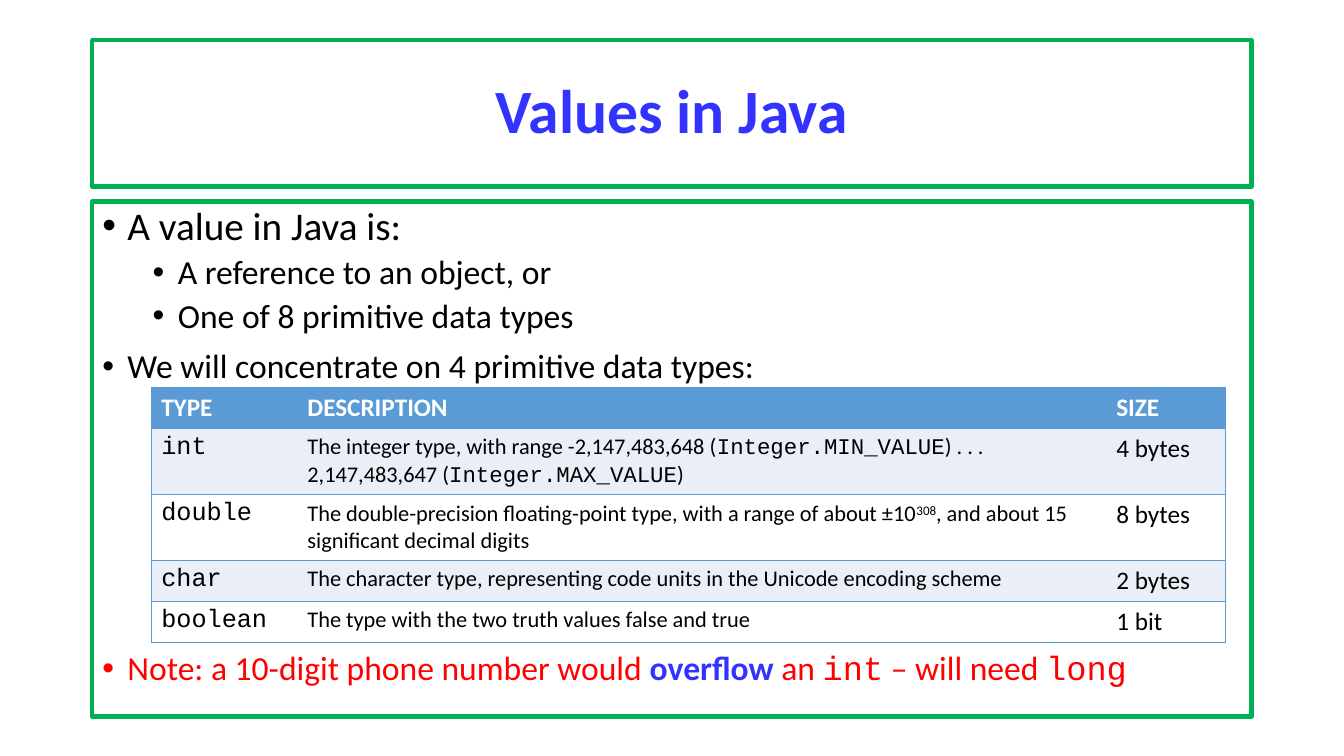
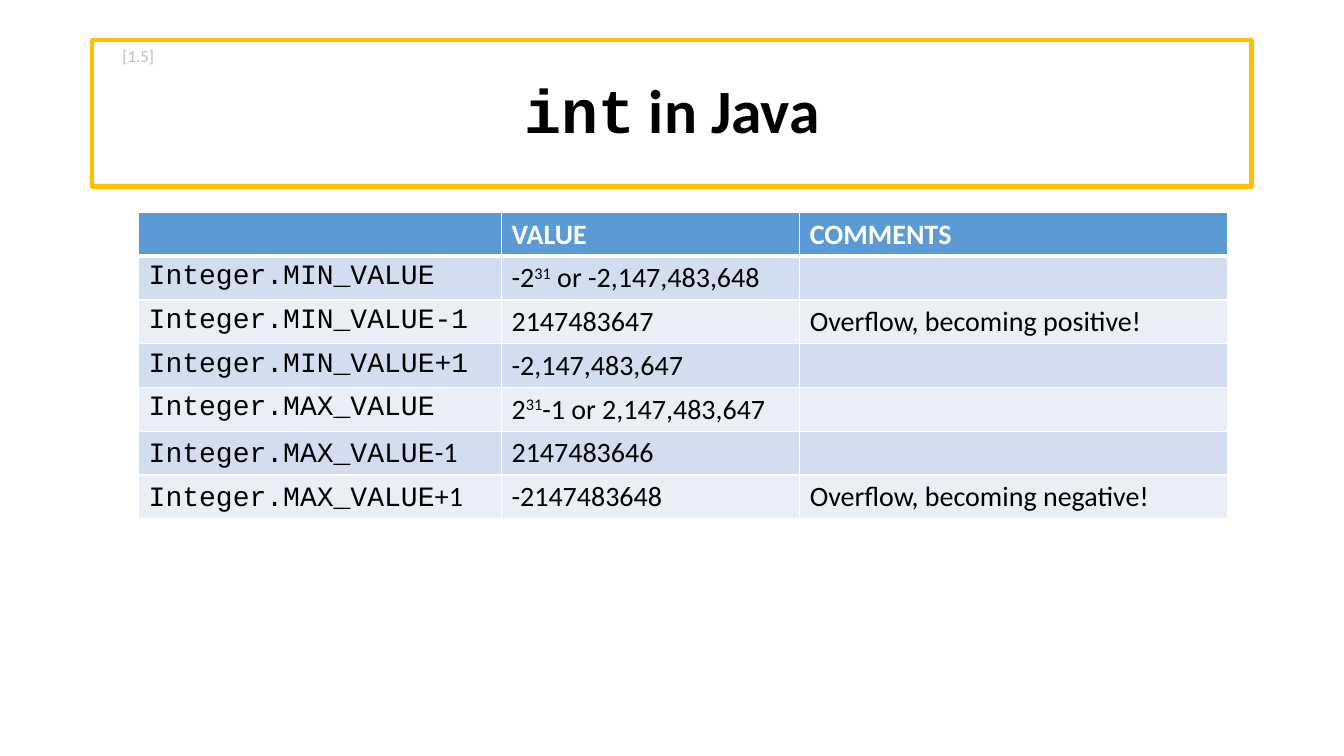
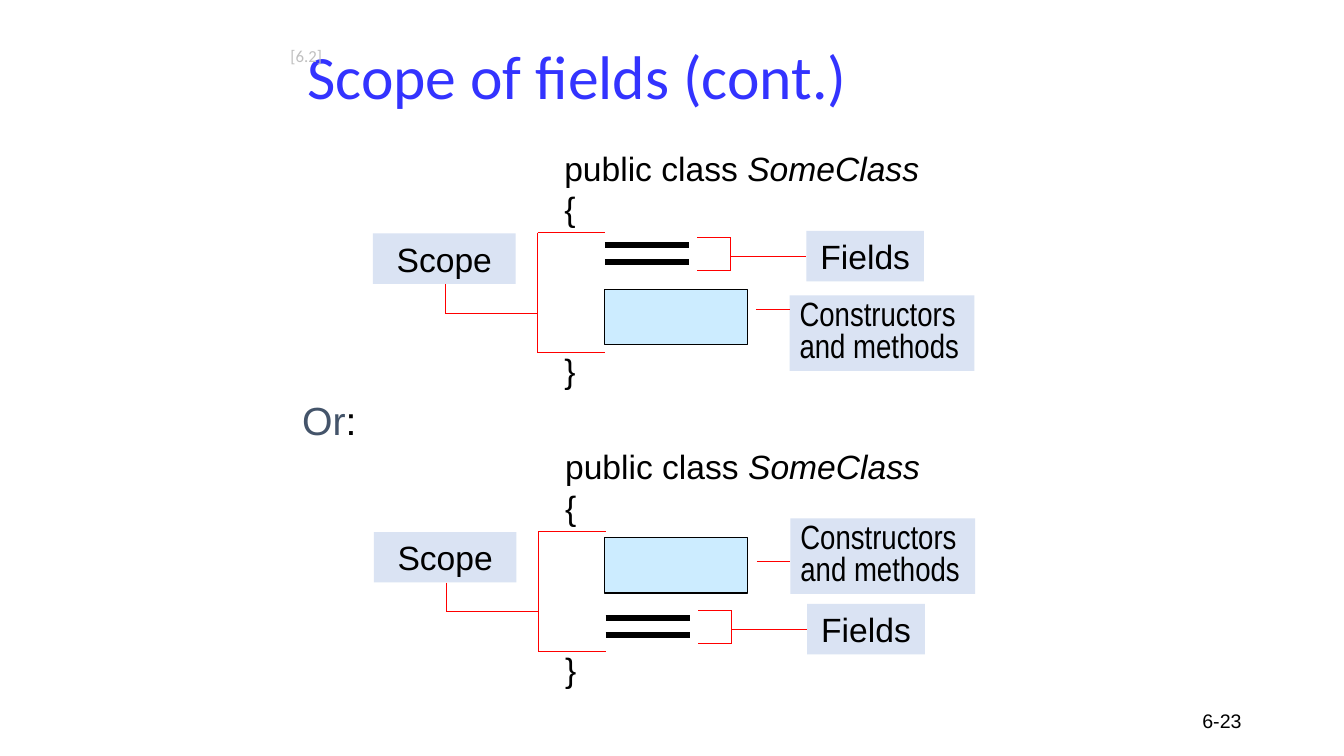
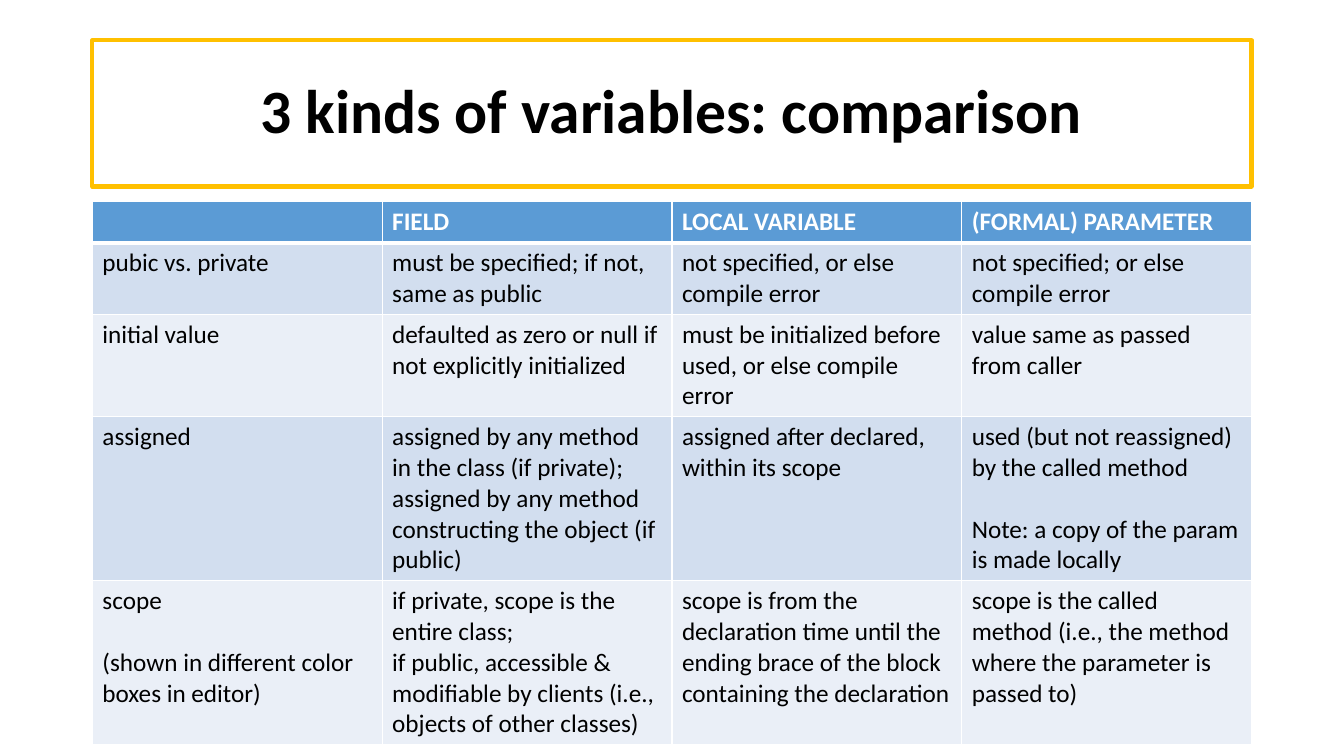
from dataclasses import dataclass, replace
from typing import Optional, Sequence, Tuple, Union

from lxml.etree import SubElement
from pptx import Presentation
from pptx.dml.color import RGBColor
from pptx.enum.shapes import MSO_CONNECTOR, MSO_SHAPE
from pptx.enum.text import MSO_ANCHOR, PP_ALIGN
from pptx.oxml.ns import qn
from pptx.slide import Slide
from pptx.text.text import Font, TextFrame
from pptx.util import Inches, Length, Pt

GRID_COLUMNS, GRID_ROWS = 160, 90
CELL = Inches(1 / 12)


@dataclass(frozen=True)
class Theme:
    sans: str = "Calibri"
    mono: str = "Courier New"
    diagram: str = "Arial"
    narrow: str = "Arial Narrow"
    black: str = "000000"
    white: str = "FFFFFF"
    blue: str = "3333FF"
    red: str = "FF0000"
    green: str = "00B050"
    gold: str = "FFC000"
    grey: str = "BFBFBF"
    slate: str = "44546A"
    header: str = "5B9BD5"
    band_dark: str = "D2DEEF"
    band_light: str = "EAEFF7"
    label: str = "DAE3F3"
    code_block: str = "CCECFF"
    title_size: int = 44
    large: int = 28
    medium: int = 24
    table_large: int = 20
    table_medium: int = 18
    table_small: int = 16
    footer_size: int = 14
    reference_size: int = 12
    frame_width: float = 3
    thin: float = 0.75
    thick: float = 4.5


THEME = Theme()


@dataclass(frozen=True)
class TextStyle:
    size: int
    color: str = THEME.black
    font: str = THEME.sans
    bold: bool = False
    italic: bool = False
    raised: int = 0

    def mono(self) -> "TextStyle":
        return replace(self, font=THEME.mono)


@dataclass(frozen=True)
class Run:
    text: str
    style: TextStyle


@dataclass(frozen=True)
class Line:
    runs: Tuple[Run, ...]
    align: PP_ALIGN = PP_ALIGN.LEFT
    spacing: float = 1.0
    before: float = 0
    bullet_indent: Optional[float] = None


@dataclass(frozen=True)
class Area:
    left: float
    top: float
    width: float
    height: float


@dataclass(frozen=True)
class Borders:
    color: str
    inner_columns: bool = True
    header_width: float = 1


CellText = Union[str, Tuple[Line, ...]]


@dataclass(frozen=True)
class TableLayout:
    left: float
    top: float
    columns: Sequence[float]
    rows: Sequence[float]
    text_size: int
    bands: Tuple[str, str]
    borders: Borders


@dataclass(frozen=True)
class ScopeDiagram:
    left: float
    top: float
    fields_top: float
    block_top: float
    methods_top: float
    pointer_top: float


def cells(count: float) -> Length:
    return Length(round(count * CELL))


def color_of(value: str) -> RGBColor:
    return RGBColor.from_string(value)


def line_of(text: str, style: TextStyle, **options) -> Line:
    return Line((Run(text, style),), **options)


def apply_style(font: Font, style: TextStyle) -> None:
    font.name = style.font
    font.size = Pt(style.size)
    font.bold = style.bold
    font.italic = style.italic
    font.color.rgb = color_of(style.color)


def write_lines(frame: TextFrame, lines: Sequence[Line]) -> None:
    for index, line in enumerate(lines):
        paragraph = frame.add_paragraph() if index else frame.paragraphs[0]
        paragraph.alignment = line.align
        paragraph.line_spacing = line.spacing
        paragraph.space_before = Pt(line.before)
        if line.bullet_indent is not None:
            properties = paragraph._p.get_or_add_pPr()
            properties.set("marL", str(cells(line.bullet_indent)))
            properties.set("indent", str(-cells(3)))
            SubElement(properties, qn("a:buFont")).set("typeface", THEME.diagram)
            SubElement(properties, qn("a:buChar")).set("char", "•")
        uniform = len({item.style for item in line.runs}) == 1
        if uniform:
            apply_style(paragraph.font, line.runs[0].style)
        for item in line.runs:
            run = paragraph.add_run()
            run.text = item.text
            if not uniform:
                apply_style(run.font, item.style)
            if item.style.raised:
                run._r.get_or_add_rPr().set("baseline", str(item.style.raised * 1000))


def add_box(
    slide: Slide,
    area: Area,
    lines: Sequence[Line] = (),
    fill: Optional[str] = None,
    outline: Optional[str] = None,
    outline_width: float = THEME.thin,
    anchor: MSO_ANCHOR = MSO_ANCHOR.TOP,
) -> None:
    shape = slide.shapes.add_shape(
        MSO_SHAPE.RECTANGLE, cells(area.left), cells(area.top), cells(area.width), cells(area.height)
    )
    shape.shadow.inherit = False
    if fill:
        shape.fill.solid()
        shape.fill.fore_color.rgb = color_of(fill)
    else:
        shape.fill.background()
    if outline:
        shape.line.color.rgb = color_of(outline)
        shape.line.width = Pt(outline_width)
    else:
        shape.line.fill.background()
    shape.text_frame.word_wrap = True
    shape.text_frame.vertical_anchor = anchor
    write_lines(shape.text_frame, lines)


def add_text(
    slide: Slide,
    area: Area,
    lines: Sequence[Line],
    anchor: MSO_ANCHOR = MSO_ANCHOR.TOP,
    wrap: bool = True,
) -> None:
    shape = slide.shapes.add_textbox(
        cells(area.left), cells(area.top), cells(area.width), cells(area.height)
    )
    shape.text_frame.word_wrap = wrap
    shape.text_frame.vertical_anchor = anchor
    write_lines(shape.text_frame, lines)


def add_line(
    slide: Slide,
    start: Tuple[float, float],
    end: Tuple[float, float],
    color: str = THEME.red,
    width: float = THEME.thin,
) -> None:
    connector = slide.shapes.add_connector(
        MSO_CONNECTOR.STRAIGHT, cells(start[0]), cells(start[1]), cells(end[0]), cells(end[1])
    )
    connector.line.color.rgb = color_of(color)
    connector.line.width = Pt(width)
    SubElement(connector._element.spPr, qn("a:effectLst"))


def add_framed_title(slide: Slide, runs: Tuple[Run, ...], outline: str) -> None:
    title = Line(runs, align=PP_ALIGN.CENTER, spacing=0.9)
    add_box(
        slide, Area(11, 4.8, 138, 17.4), [title],
        outline=outline, outline_width=THEME.frame_width, anchor=MSO_ANCHOR.MIDDLE,
    )


def add_reference(slide: Slide, text: str, left: float) -> None:
    style = TextStyle(THEME.reference_size, THEME.grey)
    add_text(slide, Area(left, 4.85, 6.2, 3.6), [line_of(text, style)], wrap=False)


def set_border(properties, side: str, color: Optional[str], width: float) -> None:
    border = SubElement(properties, qn(f"a:ln{side}"), w=str(Pt(width)))
    if color:
        fill = SubElement(border, qn("a:solidFill"))
        SubElement(fill, qn("a:srgbClr"), val=color)
    else:
        SubElement(border, qn("a:noFill"))


def add_grid(slide: Slide, layout: TableLayout, content: Sequence[Sequence[CellText]]) -> None:
    table = slide.shapes.add_table(
        len(layout.rows), len(layout.columns), cells(layout.left), cells(layout.top),
        cells(sum(layout.columns)), cells(sum(layout.rows)),
    ).table
    table.horz_banding = False
    for column, width in zip(table.columns, layout.columns):
        column.width = cells(width)
    for row, height in zip(table.rows, layout.rows):
        row.height = cells(height)
    body_style = TextStyle(layout.text_size)
    header_style = replace(body_style, color=THEME.white, bold=True)
    borders = layout.borders
    last_column = len(layout.columns) - 1
    for row_index, row_content in enumerate(content):
        style = body_style if row_index else header_style
        fill = layout.bands[(row_index - 1) % 2] if row_index else THEME.header
        for column_index, text in enumerate(row_content):
            cell = table.cell(row_index, column_index)
            properties = cell._tc.get_or_add_tcPr()
            for side, is_outer in (("L", column_index == 0), ("R", column_index == last_column)):
                color = borders.color if borders.inner_columns or is_outer else None
                set_border(properties, side, color, 1)
            for side, header_row in (("T", 1), ("B", 0)):
                width = borders.header_width if row_index == header_row else 1
                set_border(properties, side, borders.color, width)
            cell.fill.solid()
            cell.fill.fore_color.rgb = color_of(fill)
            if text:
                lines = (line_of(text, style),) if isinstance(text, str) else text
                write_lines(cell.text_frame, lines)


def build_values(slide: Slide) -> None:
    title_style = TextStyle(THEME.title_size, THEME.blue, bold=True)
    add_framed_title(slide, (Run("Values in Java", title_style),), THEME.green)

    point = TextStyle(THEME.medium)
    warning = replace(point, color=THEME.red)
    note = (
        Run("Note: a 10-digit phone number would ", warning),
        Run("overflow", replace(point, color=THEME.blue, bold=True)),
        Run(" an ", warning),
        Run("int", warning.mono()),
        Run(" – will need ", warning),
        Run("long", warning.mono()),
    )
    outer = dict(spacing=0.9, before=10, bullet_indent=3)
    inner = dict(spacing=0.9, before=5, bullet_indent=9)
    points = [
        line_of("A value in Java is:", TextStyle(THEME.large), **outer),
        line_of("A reference to an object, or", point, **inner),
        line_of("One of 8 primitive data types", point, **inner),
        line_of("We will concentrate on 4 primitive data types:", point, **outer),
        Line(note, **{**outer, "before": 190}),
    ]
    add_box(
        slide, Area(11, 24, 138, 61.3), points,
        outline=THEME.green, outline_width=THEME.frame_width,
    )

    small = TextStyle(THEME.table_small)
    code = TextStyle(THEME.table_medium).mono()
    integer_range = Line((
        Run("The integer type, with range -2,147,483,648 (", small),
        Run("Integer.MIN_VALUE", small.mono()),
        Run(") . . . 2,147,483,647 (", small),
        Run("Integer.MAX_VALUE", small.mono()),
        Run(")", small),
    ))
    double_range = Line((
        Run("The double-precision floating-point type, with a range of about ±10", small),
        Run("308", replace(small, raised=24)),
        Run(", and about 15 significant decimal digits", small),
    ))
    character = line_of(
        "The character type, representing code units in the Unicode encoding scheme", small
    )
    truth = line_of("The type with the two truth values false and true", small)
    primitives = (
        ("int", integer_range, "4 bytes"),
        ("double", double_range, "8 bytes"),
        ("char", character, "2 bytes"),
        ("boolean", truth, "1 bit"),
    )
    content = [("TYPE", "DESCRIPTION", "SIZE")] + [
        ((line_of(name, code),), (description,), size) for name, description, size in primitives
    ]
    layout = TableLayout(
        18, 46.1, (17.4, 96.3, 14.2), (4.9, 7.8, 7.8, 4.9, 4.9), THEME.table_medium,
        (THEME.band_light, THEME.white), Borders(THEME.header, inner_columns=False),
    )
    add_grid(slide, layout, content)


def build_integers(slide: Slide) -> None:
    title_style = TextStyle(THEME.title_size, bold=True)
    add_framed_title(
        slide, (Run("int", title_style.mono()), Run(" in Java", title_style)), THEME.gold
    )
    add_reference(slide, "[1.5]", 13.4)

    plain = TextStyle(THEME.table_large)
    code = plain.mono()
    exponent = Run("31", replace(plain, raised=30))

    def constant(name: str) -> Tuple[Line, ...]:
        return (line_of(name, code),)

    def shifted_maximum(shift: str) -> Tuple[Line, ...]:
        return (Line((Run("Integer.MAX_VALUE", code), Run(shift, plain))),)

    minimum = Line((Run("-2", plain), exponent, Run(" or -2,147,483,648", plain)))
    maximum = Line((Run("2", plain), exponent, Run("-1 or 2,147,483,647", plain)))
    content = [
        ("", "VALUE", "COMMENTS"),
        (constant("Integer.MIN_VALUE"), (minimum,), ""),
        (constant("Integer.MIN_VALUE-1"), "2147483647", "Overflow, becoming positive!"),
        (constant("Integer.MIN_VALUE+1"), "-2,147,483,647", ""),
        (constant("Integer.MAX_VALUE"), (maximum,), ""),
        (shifted_maximum("-1"), "2147483646", ""),
        (shifted_maximum("+1"), "-2147483648", "Overflow, becoming negative!"),
    ]
    layout = TableLayout(
        16.5, 25.3, (43.2, 35.5, 51), (5.2,) * len(content), THEME.table_large,
        (THEME.band_dark, THEME.band_light), Borders(THEME.white, header_width=3),
    )
    add_grid(slide, layout, content)


def draw_scope_diagram(slide: Slide, diagram: ScopeDiagram) -> None:
    left, top, fields_top = diagram.left, diagram.top, diagram.fields_top
    style = TextStyle(THEME.medium, font=THEME.diagram)
    narrow = replace(style, font=THEME.narrow)
    code = [
        Line((Run("public class ", style), Run("SomeClass", replace(style, italic=True)))),
        line_of("{", style),
        line_of("}", style, before=87),
    ]
    add_text(slide, Area(left, top, 65, 30.2), code)

    for offset in (1.7, 3.7):
        height = fields_top + offset
        add_line(slide, (left + 6, height), (left + 16, height), THEME.black, THEME.thick)
    add_box(
        slide, Area(72, diagram.block_top, 17, 6.6),
        fill=THEME.code_block, outline=THEME.black,
    )

    labels = (
        ("Fields", Area(left + 30, fields_top, 14, 6)),
        ("Scope", Area(left - 21.6, top + 10.8, 17, 6)),
    )
    for text, area in labels:
        add_box(slide, area, [line_of(text, style, align=PP_ALIGN.CENTER)], fill=THEME.label)
    methods = line_of("Constructors and methods", narrow, spacing=0.8)
    add_box(slide, Area(left + 28, diagram.methods_top, 22, 9), [methods], fill=THEME.label)

    bracket_top, bracket_middle, bracket_bottom = (fields_top + step for step in (0.75, 3, 4.75))
    scope_top, scope_middle, scope_bottom = (top + step for step in (10.7, 20.3, 25))
    strokes = (
        ((left + 21, bracket_middle), (left + 30, bracket_middle)),
        ((left + 21, bracket_top), (left + 21, bracket_bottom)),
        ((left + 17, bracket_top), (left + 21, bracket_top)),
        ((left + 17, bracket_bottom), (left + 21, bracket_bottom)),
        ((left + 24, diagram.pointer_top), (left + 28, diagram.pointer_top)),
        ((left - 13, scope_middle), (left - 2, scope_middle)),
        ((left - 13, top + 16.8), (left - 13, scope_middle)),
        ((left - 2, scope_top), (left + 6, scope_top)),
        ((left - 2, scope_bottom), (left + 6, scope_bottom)),
        ((left - 2, scope_top), (left - 2, scope_bottom)),
    )
    for start, end in strokes:
        add_line(slide, start, end)


def build_scope(slide: Slide) -> None:
    diagram_text = TextStyle(THEME.footer_size, font=THEME.diagram)
    add_text(
        slide, Area(113, 83.4, 36, 4.8),
        [line_of("6-23", diagram_text, align=PP_ALIGN.RIGHT)], MSO_ANCHOR.MIDDLE,
    )
    title = line_of(
        "Scope of fields (cont.)", TextStyle(THEME.title_size, THEME.blue), spacing=0.9
    )
    add_text(slide, Area(35.4, 2, 102, 15), [title], MSO_ANCHOR.MIDDLE)
    diagrams = (
        ScopeDiagram(66, 17, 27.5, 34.45, 35.15, 36.8),
        ScopeDiagram(66.1, 52.55, 71.9, 64, 61.7, 66.8),
    )
    for diagram in diagrams:
        draw_scope_diagram(slide, diagram)
    large = replace(diagram_text, size=THEME.large)
    alternative = Line((Run("Or", replace(large, color=THEME.slate)), Run(":", large)))
    add_text(slide, Area(34.8, 46.6, 25.4, 6.8), [alternative])
    add_reference(slide, "[6.2]", 33.4)


def build_comparison(slide: Slide) -> None:
    title_style = TextStyle(THEME.title_size, bold=True)
    add_framed_title(slide, (Run("3 kinds of variables: comparison", title_style),), THEME.gold)

    style = TextStyle(THEME.table_medium)

    def pair(first: str, second: str, gap: float = 0) -> Tuple[Line, ...]:
        return line_of(first, style), line_of(second, style, before=gap)

    content = [
        ("", "FIELD", "LOCAL VARIABLE", "(FORMAL) PARAMETER"),
        (
            "pubic vs. private",
            "must be specified; if not, same as public",
            "not specified, or else compile error",
            "not specified; or else compile error",
        ),
        (
            "initial value",
            "defaulted as zero or null if not explicitly initialized",
            "must be initialized before used, or else compile error",
            "value same as passed from caller",
        ),
        (
            "assigned",
            pair(
                "assigned by any method in the class (if private);",
                "assigned by any method constructing the object (if public)",
            ),
            "assigned after declared, within its scope",
            pair(
                "used (but not reassigned) by the called method",
                "Note: a copy of the param is made locally",
                gap=22,
            ),
        ),
        (
            pair("scope", "(shown in different color boxes in editor)", gap=22),
            pair(
                "if private, scope is the entire class;",
                "if public, accessible & modifiable by clients (i.e., objects of other classes)",
            ),
            "scope is from the declaration time until the ending brace of the block "
            "containing the declaration",
            "scope is the called method (i.e., the method where the parameter is passed to)",
        ),
    ]
    layout = TableLayout(
        11, 24, (34.5,) * 4, (4.9, 8.4, 12, 19.2, 19.2), THEME.table_medium,
        (THEME.band_dark, THEME.band_light), Borders(THEME.white, header_width=3),
    )
    add_grid(slide, layout, content)


def main() -> None:
    presentation = Presentation()
    presentation.slide_width = cells(GRID_COLUMNS)
    presentation.slide_height = cells(GRID_ROWS)
    blank = presentation.slide_layouts[6]
    for build in (build_values, build_integers, build_scope, build_comparison):
        build(presentation.slides.add_slide(blank))
    presentation.save("out.pptx")


main()
